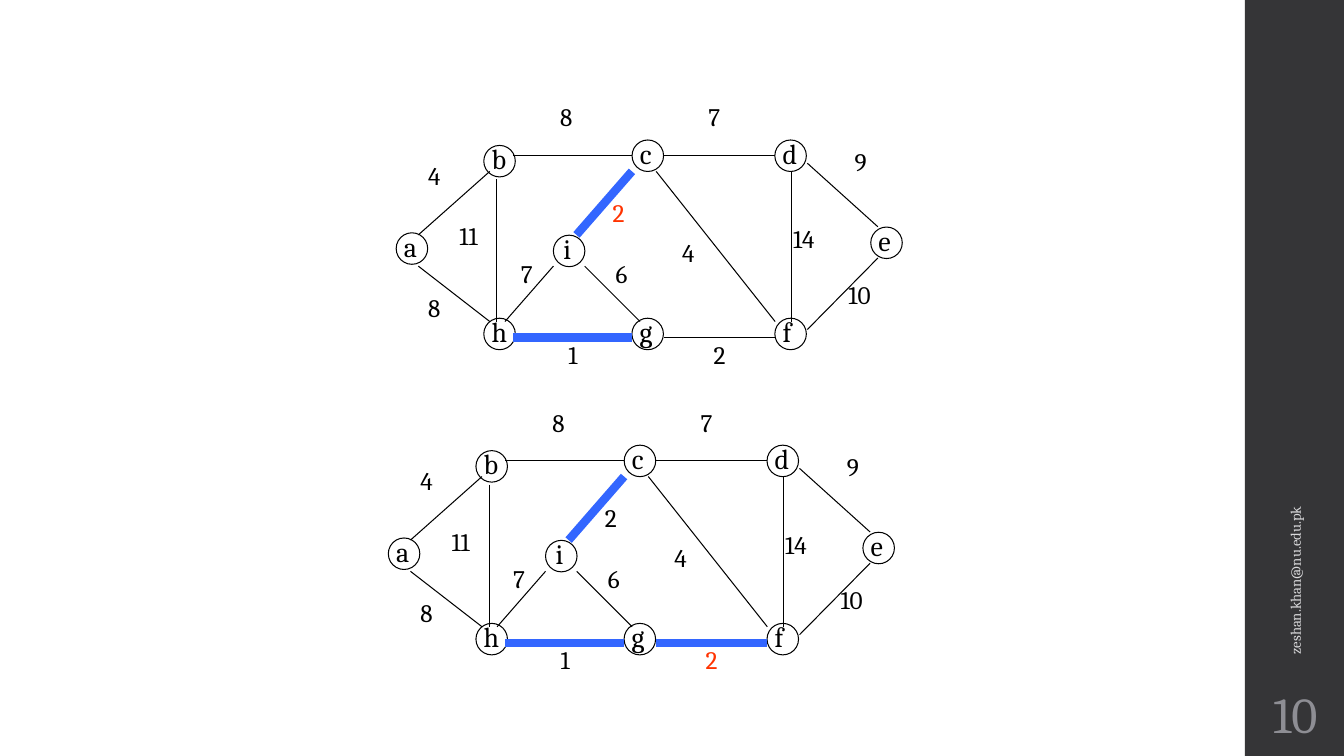
from lxml.etree import SubElement
from pptx import Presentation
from pptx.dml.color import RGBColor
from pptx.enum.shapes import MSO_CONNECTOR, MSO_SHAPE
from pptx.enum.text import MSO_ANCHOR, MSO_AUTO_SIZE, PP_ALIGN
from pptx.oxml.ns import qn
from pptx.util import Pt

FONT = "Cambria"
COLORS = {
    "ink": "000000",
    "chosen": "3366FF",
    "newest": "FF3300",
    "sidebar": "353537",
    "email": "D9D9DB",
    "number": "8E8E94",
}
EMAIL = "zeshan.khan@nu.edu.pk"
SLIDE_NUMBER = "10"

# Node: left and top of its circle, width of its letter box
NODES = {
    "a": (283, 166.3, 24.5),
    "b": (345.6, 103.9, 25.2),
    "h": (345.6, 227.3, 25.2),
    "c": (451.5, 100, 23),
    "d": (553.5, 100, 25.2),
    "e": (622, 162.2, 24.5),
    "f": (553.5, 227.3, 20.9),
    "g": (451.4, 227.3, 24.5),
    "i": (395.3, 168, 20.2),
}
# Edge: start, end, weight, left and top of the weight box
EDGES = {
    "ab": ((298.8, 167.8), (349.9, 122.4), "4", (298.8, 110.9)),
    "ah": ((298.8, 190.1), (349.9, 229.7), "8", (298.8, 205.2)),
    "bh": ((355, 128.2), (355, 229.7), "11", (321.1, 154.1)),
    "bc": ((366.5, 110.9), (451.4, 110.9), "8", (393.1, 69.1)),
    "hg": ((366.5, 241.2), (451.4, 241.2), "1", (398.9, 239)),
    "gf": ((474.5, 241.2), (553.7, 241.2), "2", (502.6, 239)),
    "cf": ((468.7, 122.4), (553.7, 229.7), "4", (480.2, 165.6)),
    "cd": ((474.5, 110.9), (553.7, 110.9), "7", (499, 69.1)),
    "df": ((565.2, 122.4), (565.2, 229.7), "14", (559.4, 156.2)),
    "de": ((576.7, 116.6), (627.1, 162), "9", (603.4, 100.8)),
    "ef": ((576.7, 235.4), (627.1, 184.3), "10", (599, 195.8)),
    "ig": ((417.6, 190.1), (457.2, 229.7), "6", (432.7, 180.7)),
    "hi": ((360.7, 229.7), (395.3, 190.1), "7", (365, 180.7)),
    "ic": ((411.8, 167.8), (451.4, 122.4), "2", (430.6, 137.5)),
}
# Step: horizontal and vertical shift, chosen edges with the newest one last
STEPS = [
    (0, 0, ["hg", "ic"]),
    (-5.6, 218, ["hg", "ic", "gf"]),
]
DIAMETER = 22.5
WEIGHT_WIDTHS = {1: 23.8, 2: 33.1}


def rgb(name):
    return RGBColor.from_string(COLORS[name])


def add_text(shapes, text, left, top, width, height, *, size, color="ink", wrap=False,
             align=PP_ALIGN.LEFT, anchor=MSO_ANCHOR.TOP, inset=None, rotation=0):
    box = shapes.add_textbox(Pt(left), Pt(top), Pt(width), Pt(height))
    box.rotation = rotation
    frame = box.text_frame
    frame.word_wrap = wrap
    frame.auto_size = MSO_AUTO_SIZE.NONE if wrap else MSO_AUTO_SIZE.SHAPE_TO_FIT_TEXT
    frame.vertical_anchor = anchor
    if inset is not None:
        frame.margin_left = frame.margin_right = Pt(inset)
        frame.margin_top = frame.margin_bottom = Pt(inset)
    paragraph = frame.paragraphs[0]
    paragraph.alignment = align
    run = paragraph.add_run()
    run.text = text
    run.font.name = FONT
    run.font.size = Pt(size)
    run.font.color.rgb = rgb(color)


def add_node(shapes, letter, left, top, width):
    add_text(shapes, letter, left - (0 if letter == "i" else 1.6), top - 6.2,
             width, 31.5, size=20)
    circle = shapes.add_shape(MSO_SHAPE.OVAL, Pt(left), Pt(top), Pt(DIAMETER), Pt(DIAMETER))
    circle.shadow.inherit = False
    circle.fill.background()
    circle.line.color.rgb = rgb("ink")
    circle.line.width = Pt(0.75)


def add_edge(shapes, start, end, chosen):
    points = [Pt(value) for value in (*start, *end)]
    edge = shapes.add_connector(MSO_CONNECTOR.STRAIGHT, *points)
    edge.line.color.rgb = rgb("chosen" if chosen else "ink")
    edge.line.width = Pt(6 if chosen else 0.75)
    SubElement(edge.element.spPr, qn("a:effectLst"))


def add_graph(slide, dx, dy, chosen):
    shapes = slide.shapes.add_group_shape().shapes
    for letter, (left, top, width) in NODES.items():
        add_node(shapes, letter, left + dx, top + dy, width)
    for name, ((x1, y1), (x2, y2), _, _) in EDGES.items():
        add_edge(shapes, (x1 + dx, y1 + dy), (x2 + dx, y2 + dy), name in chosen)
    for name, (_, _, weight, (left, top)) in EDGES.items():
        add_text(shapes, weight, left + dx, top + dy, WEIGHT_WIDTHS[len(weight)], 29,
                 size=18, color="newest" if name == chosen[-1] else "ink")


def add_sidebar(slide):
    left, width = 889.2, 72
    bar = slide.shapes.add_shape(MSO_SHAPE.RECTANGLE, Pt(left), 0, Pt(width), Pt(540))
    bar.shadow.inherit = False
    bar.fill.solid()
    bar.fill.fore_color.rgb = rgb("sidebar")
    bar.line.fill.background()
    add_text(slide.shapes, EMAIL, 784, 319, 282, 29, size=10.5, color="email",
             wrap=True, anchor=MSO_ANCHOR.MIDDLE, rotation=270)
    add_text(slide.shapes, SLIDE_NUMBER, left, 486, width, 46.8, size=36, color="number",
             wrap=True, align=PP_ALIGN.CENTER, anchor=MSO_ANCHOR.MIDDLE, inset=3.6)


def main():
    presentation = Presentation()
    presentation.slide_width, presentation.slide_height = Pt(960), Pt(540)
    slide = presentation.slides.add_slide(presentation.slide_layouts[6])
    add_sidebar(slide)
    for dx, dy, chosen in STEPS:
        add_graph(slide, dx, dy, chosen)
    presentation.save("out.pptx")


if __name__ == "__main__":
    main()
